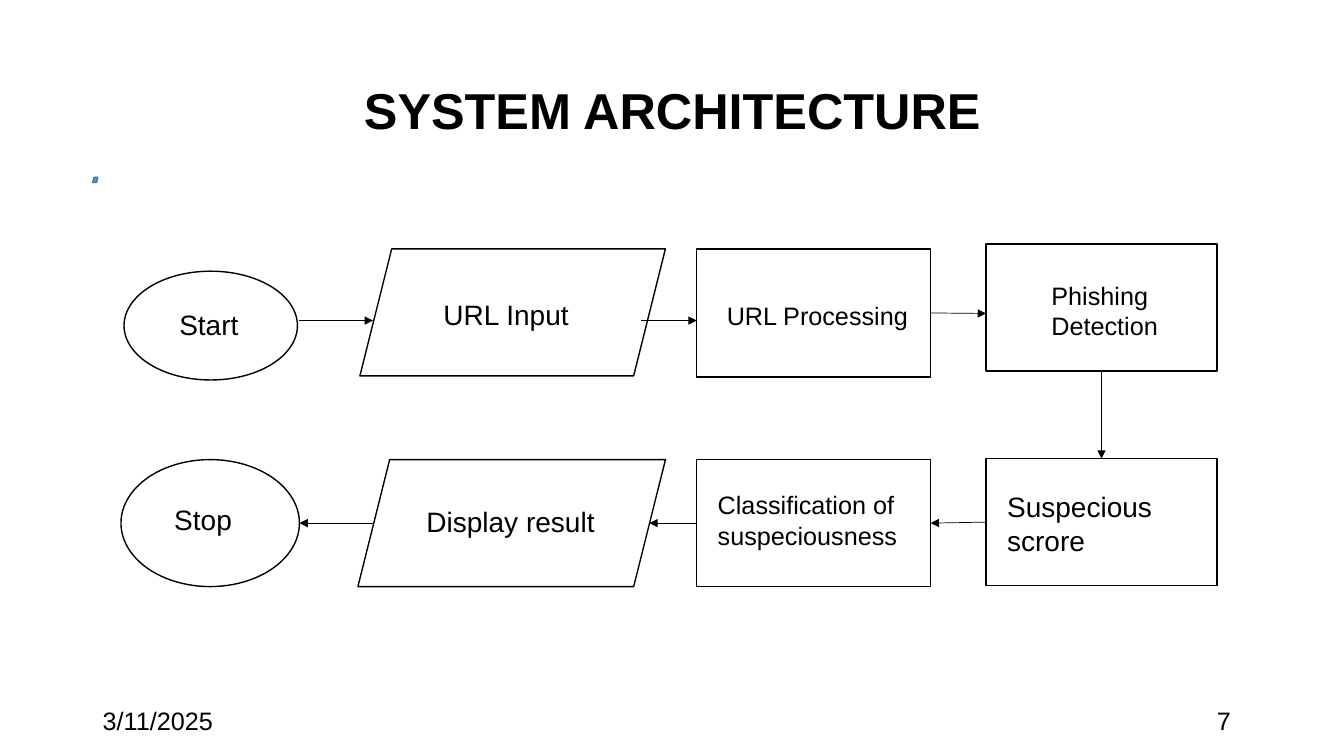
from pptx import Presentation
from pptx import util as u
from pptx.dml.color import RGBColor
from pptx.enum import shapes, text
from pptx.oxml.ns import qn
from lxml import etree

COLORS = {"ink": "000000", "paper": "FFFFFF", "accent": "5B9BD5", "accent_line": "43739E"}
FONT = "Arial"
RECTANGLE = shapes.MSO_SHAPE.RECTANGLE
OVAL = shapes.MSO_SHAPE.OVAL
PARALLELOGRAM = shapes.MSO_SHAPE.PARALLELOGRAM
TOP, LEFT, BOTTOM, RIGHT = range(4)

# name: (shape, shape box, label, label box, label size)
STEPS = {
    "start": (OVAL, (1.23, 2.69, 1.72, 1.08), "Start", (1.68, 3, 0.9, 0.44), 20),
    "input": (PARALLELOGRAM, (3.57, 2.47, 3.03, 1.26), "URL Input", (4.3, 2.9, 1.55, 0.44), 20),
    "processing": (RECTANGLE, (6.91, 2.47, 2.32, 1.27), "URL Processing",
                   (7.11, 2.93, 2.12, 0.4), 18),
    "detection": (RECTANGLE, (9.78, 2.42, 2.29, 1.26), "Phishing Detection",
                  (10.33, 2.73, 1.29, 0.71), 18),
    "score": (RECTANGLE, (9.78, 4.55, 2.29, 1.26), "Suspecious scrore",
              (9.89, 4.81, 2.06, 0.77), 20),
    "classification": (RECTANGLE, (6.91, 4.56, 2.32, 1.26), "Classification of suspeciousness",
                       (7.02, 4.81, 2.08, 0.71), 18),
    "result": (PARALLELOGRAM, (3.55, 4.56, 3.05, 1.26), "Display result",
               (4.13, 4.96, 2.15, 0.44), 20),
    "stop": (OVAL, (1.2, 4.56, 1.77, 1.26), "Stop", (1.63, 4.94, 1, 0.44), 20),
}

# (start point, end point, joined start, joined end)
ARROWS = [
    ((2.97, 3.18), (3.7, 3.18), None, None),
    ((6.36, 3.18), (6.91, 3.18), None, None),
    ((9.23, 3.11), (9.78, 3.11), ("processing", RIGHT), None),
    ((10.92, 3.68), (10.92, 4.55), ("detection", BOTTOM), ("score", TOP)),
    ((9.78, 5.19), (9.23, 5.19), ("score", LEFT), ("classification", RIGHT)),
    ((6.91, 5.19), (6.44, 5.19), ("classification", LEFT), None),
    ((3.7, 5.19), (2.97, 5.19), None, None),
]


def color(name):
    return RGBColor.from_string(COLORS[name])


def inches(values):
    return [u.Inches(value) for value in values]


def format_font(paragraph, size, bold=False):
    font = paragraph.font
    font.name, font.size, font.bold = FONT, u.Pt(size), bold
    font.color.rgb = color("ink")


def add_title(slide, box, wording):
    title = slide.shapes.title
    title.left, title.top, title.width, title.height = inches(box)
    title.text_frame.text = wording
    title.text_frame.vertical_anchor = text.MSO_ANCHOR.MIDDLE
    paragraph = title.text_frame.paragraphs[0]
    paragraph.alignment = text.PP_ALIGN.CENTER
    paragraph.line_spacing = 0.9
    format_font(paragraph, 36, bold=True)


def add_label(slide, box, wording, size):
    label = slide.shapes.add_textbox(*inches(box))
    label.text_frame.word_wrap = True
    label.text_frame.text = wording
    format_font(label.text_frame.paragraphs[0], size)


def add_outline(slide, kind, box, fill="paper", line="ink"):
    shape = slide.shapes.add_shape(kind, *inches(box))
    shape.shadow.inherit = False
    shape.fill.solid()
    shape.fill.fore_color.rgb = color(fill)
    shape.line.color.rgb = color(line)
    shape.line.width = u.Pt(1)
    return shape


def add_arrow(slide, start, end, joined_start, joined_end, steps):
    arrow = slide.shapes.add_connector(
        shapes.MSO_CONNECTOR.STRAIGHT, *inches(start + end))
    if joined_start:
        name, side = joined_start
        arrow.begin_connect(steps[name], side)
    if joined_end:
        name, side = joined_end
        arrow.end_connect(steps[name], side)
    arrow.line.color.rgb = color("ink")
    arrow.line.width = u.Pt(0.5)
    # Arrowhead, and no shadow
    properties = arrow.line._get_or_add_ln()
    etree.SubElement(properties, qn("a:tailEnd"), type="triangle")
    etree.SubElement(arrow._element.spPr, qn("a:effectLst"))


def add_flowchart(slide):
    steps = {name: add_outline(slide, kind, box)
             for name, (kind, box, *_) in STEPS.items()}
    for arrow in ARROWS:
        add_arrow(slide, *arrow, steps)
    for _, _, wording, box, size in STEPS.values():
        add_label(slide, box, wording, size)


def add_footer(slide, top, height):
    add_label(slide, (0.92, top, 3, height), "3/11/2025", 18)
    add_label(slide, (11.97, top, 0.45, height), "7", 18)


def main():
    presentation = Presentation()
    presentation.slide_width, presentation.slide_height = inches((13.33, 7.5))
    slide = presentation.slides.add_slide(presentation.slide_layouts[5])
    add_title(slide, (0.92, 0.4, 11.5, 1.45), "SYSTEM ARCHITECTURE")
    # Small accent mark under the title
    add_outline(slide, PARALLELOGRAM, (0.92, 1.76, 0.05, 0.05), "accent", "accent_line")
    add_flowchart(slide)
    add_footer(slide, 6.95, 0.4)
    presentation.save("out.pptx")


if __name__ == "__main__":
    main()
